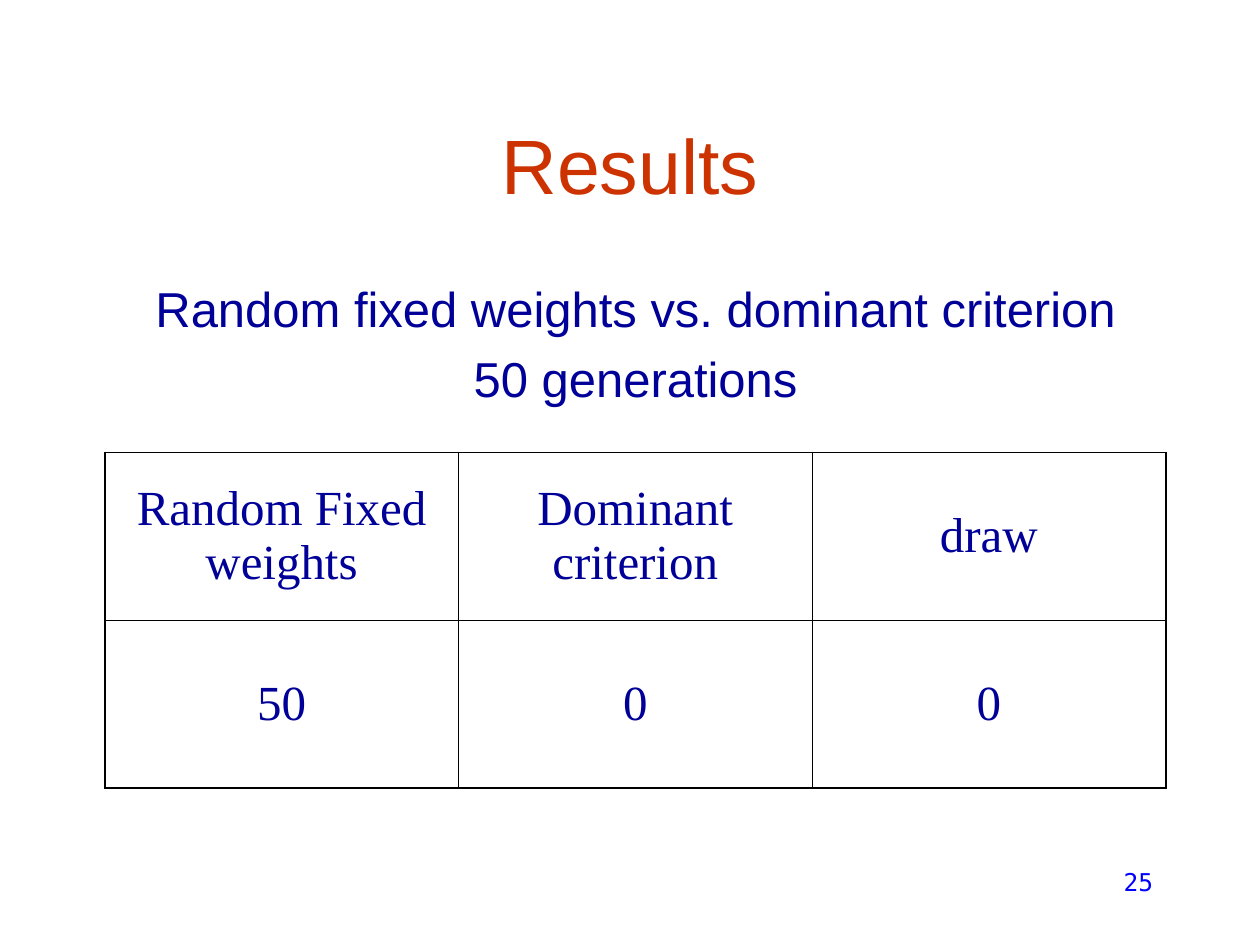
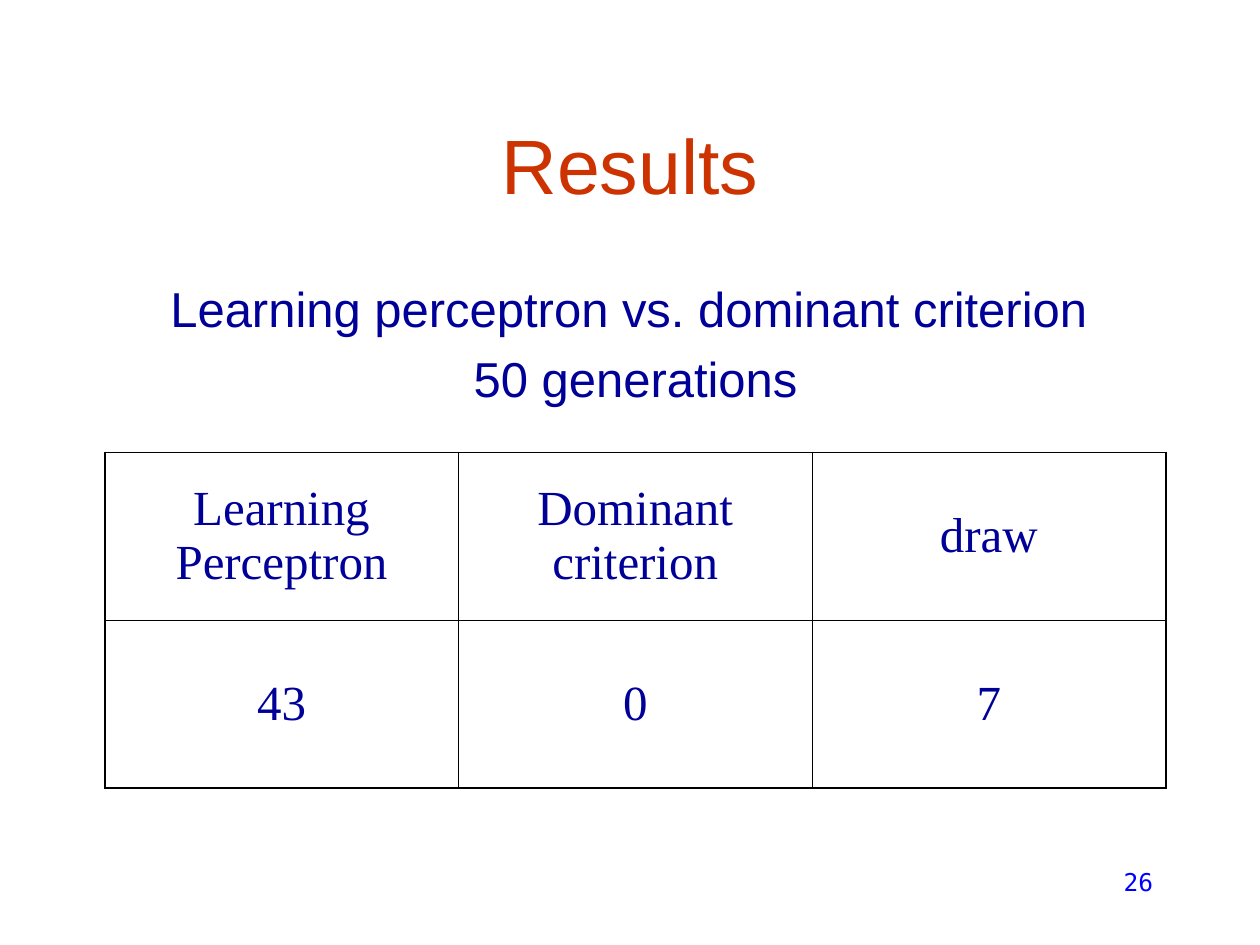
import pptx
import pptx.dml.color
import pptx.enum.text
import pptx.oxml
import pptx.oxml.ns
import pptx.util
from dataclasses import dataclass

Cm = pptx.util.Cm
Pt = pptx.util.Pt
Align = pptx.enum.text.PP_ALIGN
Anchor = pptx.enum.text.MSO_ANCHOR


@dataclass(frozen=True)
class Theme:
    # Each text style is font, size, colour
    title: tuple = ("Arial", 44, "CC3300")
    body: tuple = ("Arial", 28, "000099")
    cell: tuple = ("Times New Roman", 28, "000099")
    page: tuple = ("DejaVu Sans Mono", 14, "0000FF")
    line: str = "000000"
    inner: float = 0.45
    outer: float = 1.08


def apply(item, values):
    for name, value in values.items():
        setattr(item, name, value)


def margins(left, top, right, bottom):
    sides = ("left", "top", "right", "bottom")
    sizes = (left, top, right, bottom)
    return {f"margin_{side}": Cm(size) for side, size in zip(sides, sizes)}


def place(shape, left, top, width, height):
    apply(shape, {"left": Cm(left), "top": Cm(top),
                  "width": Cm(width), "height": Cm(height)})


class Deck:
    def __init__(self, theme):
        self.theme = theme
        self.show = pptx.Presentation()
        apply(self.show, {"slide_width": Cm(25.4), "slide_height": Cm(19.05)})

    def start(self):
        self.slide = self.show.slides.add_slide(self.show.slide_layouts[1])

    def words(self, frame, lines, style, align, gap=0):
        """Fill a text frame with one styled paragraph per line."""
        font, size, color = style
        for index, line in enumerate(lines):
            para = frame.paragraphs[0] if index == 0 else frame.add_paragraph()
            apply(para, {"alignment": align, "space_before": Pt(gap)})
            run = para.add_run()
            run.text = line
            apply(run.font, {"name": font, "size": Pt(size)})
            run.font.color.rgb = pptx.dml.color.RGBColor.from_string(color)

    def frame(self, shape, box, anchor, edges):
        place(shape, *box)
        frame = shape.text_frame
        apply(frame, {"word_wrap": True, "vertical_anchor": anchor,
                      "auto_size": pptx.enum.text.MSO_AUTO_SIZE.NONE,
                      **margins(*edges)})
        return frame

    def title(self, text):
        frame = self.frame(self.slide.shapes.title, (1.9, 1.7, 21.6, 3.18),
                           Anchor.MIDDLE, (0.35, 0.13, 0.35, 0.13))
        self.words(frame, [text], self.theme.title, Align.CENTER)

    def body(self, lines):
        frame = self.frame(self.slide.placeholders[1], (1.7, 5.61, 22.22, 2.74),
                           Anchor.TOP, (0, 0, 0.1, 0))
        self.words(frame, lines, self.theme.body, Align.CENTER, 6.4)
        # Hanging indent without a bullet
        for para in frame.paragraphs:
            props = para._p.get_or_add_pPr()
            props.set("marL", str(Cm(0.38)))
            props.set("indent", str(Cm(-0.28)))
            props.append(pptx.oxml.parse_xml(
                f"<a:buNone {pptx.oxml.ns.nsdecls('a')}/>"))

    def border(self, cell, side, width):
        cell._tc.get_or_add_tcPr().append(pptx.oxml.parse_xml(
            f'<a:ln{side} {pptx.oxml.ns.nsdecls("a")} w="{Pt(width)}">'
            f'<a:solidFill><a:srgbClr val="{self.theme.line}"/></a:solidFill>'
            f'</a:ln{side}>'))

    def table(self, rows):
        high, wide = len(rows), len(rows[0])
        grid = self.slide.shapes.add_table(
            high, wide, Cm(2.11), Cm(9.12), Cm(21.39), Cm(6.76)).table
        apply(grid, {"first_row": False, "horz_banding": False})
        for r, row in enumerate(rows):
            for c, text in enumerate(row):
                cell = grid.cell(r, c)
                apply(cell, {"vertical_anchor": Anchor.MIDDLE,
                             **margins(0.15, 0.13, 0.15, 0.13)})
                self.words(cell.text_frame, [text], self.theme.cell, Align.CENTER)
                # Heavier lines around the outside
                edges = {"L": c == 0, "R": c == wide - 1,
                         "T": r == 0, "B": r == high - 1}
                for side, rim in edges.items():
                    self.border(cell, side,
                                self.theme.outer if rim else self.theme.inner)
                cell.fill.background()

    def page(self, number):
        box = (18.2, 17.35, 5.3, 1.27)
        shape = self.slide.shapes.add_textbox(0, 0, 0, 0)
        frame = self.frame(shape, box, Anchor.TOP, (0.25, 0.13, 0.25, 0.13))
        self.words(frame, [str(number)], self.theme.page, Align.RIGHT)


# Match-up, first column heading, scores
RESULTS = [
    ("Random fixed weights vs. dominant criterion",
     "Random Fixed weights", ("50", "0", "0")),
    ("Learning perceptron vs. dominant criterion ",
     "Learning Perceptron", ("43", "0", "7")),
]


def main():
    deck = Deck(Theme())
    for number, (match, player, scores) in enumerate(RESULTS, start=25):
        deck.start()
        deck.title("Results")
        deck.body([match, "50 generations"])
        deck.table([(player, "Dominant criterion", "draw"), scores])
        deck.page(number)
    deck.show.save("out.pptx")


if __name__ == "__main__":
    main()
